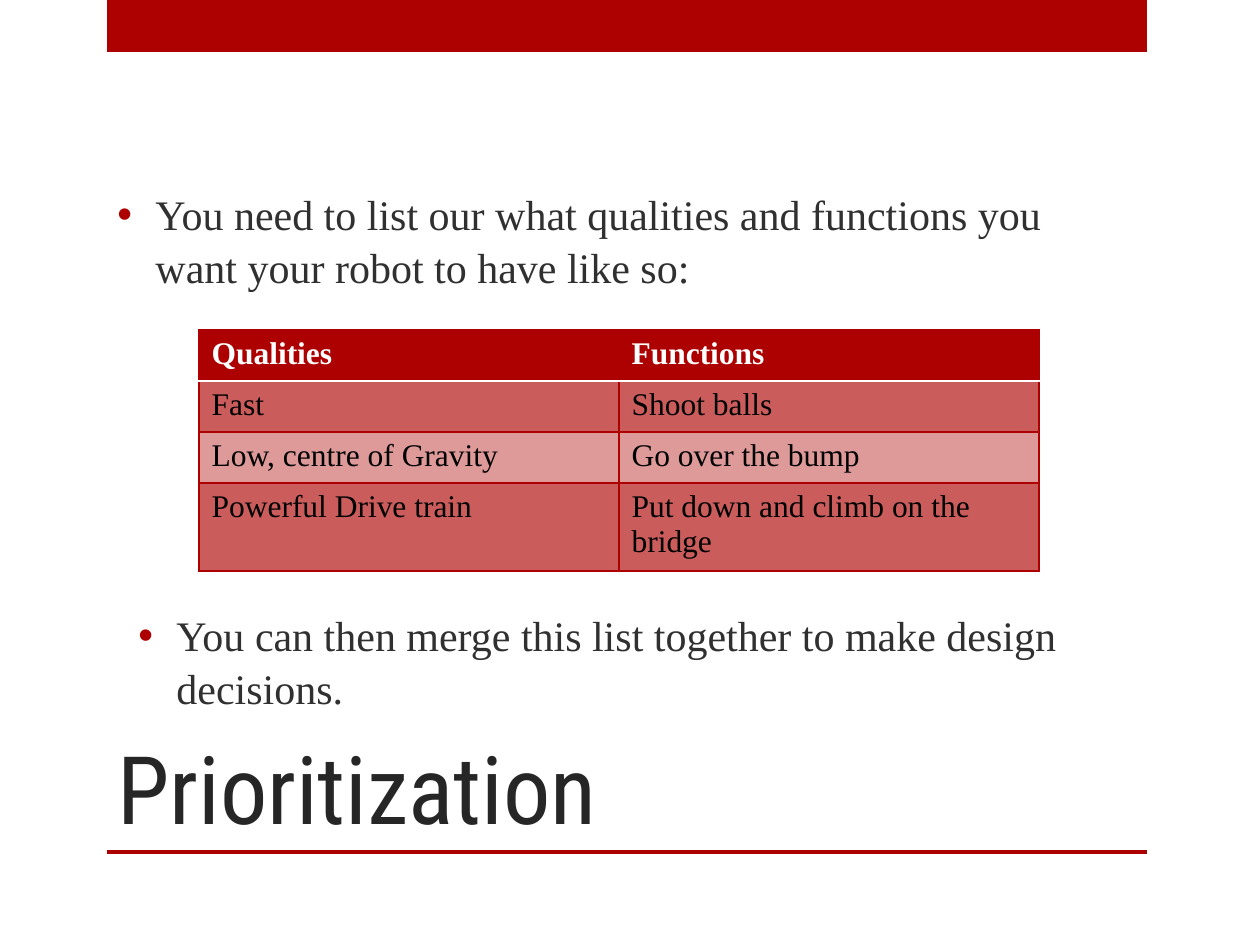
import dataclasses
import typing

import lxml.etree
import pptx
import pptx.dml.color
import pptx.enum.shapes
import pptx.enum.text
import pptx.oxml.ns
import pptx.util

EMU_PER_PIXEL = 914400 / 126


@dataclasses.dataclass(frozen=True)
class Theme:
    red: str = "AD0101"
    dark_band: str = "CA5C5C"
    light_band: str = "DE9999"
    white: str = "FFFFFF"
    black: str = "000000"
    title_color: str = "262626"
    body_color: str = "303030"
    title_font: str = "Roboto Condensed"
    body_font: str = "Times New Roman"
    title_size: int = 54
    body_size: int = 24
    table_size: int = 18
    border_width: float = 1.25
    header_rule_width: float = 1.75


class Box(typing.NamedTuple):
    left: int
    top: int
    width: int
    height: int


@dataclasses.dataclass(frozen=True)
class TextBlock:
    box: Box
    text: str
    font: str
    size: int
    color: str
    anchor: pptx.enum.text.MSO_ANCHOR
    bullet: bool = False


THEME = Theme()
MIDDLE = pptx.enum.text.MSO_ANCHOR.MIDDLE
BOTTOM = pptx.enum.text.MSO_ANCHOR.BOTTOM

BARS = [Box(107, 0, 1040, 52), Box(107, 850, 1040, 4)]
TEXT_BLOCKS = [
    TextBlock(Box(105, 630, 935, 220), "Prioritization",
              THEME.title_font, THEME.title_size, THEME.title_color, BOTTOM),
    TextBlock(Box(105, 97, 1040, 284),
              "You need to list our what qualities and functions you want your robot to have like so:",
              THEME.body_font, THEME.body_size, THEME.body_color, MIDDLE, True),
    TextBlock(Box(126, 518, 1040, 284),
              "You can then merge this list together to make design decisions.",
              THEME.body_font, THEME.body_size, THEME.body_color, MIDDLE, True),
]
TABLE_BOX = Box(199, 330, 840, 236)
ROW_HEIGHTS = [51, 51, 51, 83]
TABLE_ROWS = [
    ("Qualities", "Functions"),
    ("Fast", "Shoot balls"),
    ("Low, centre of Gravity", "Go over the bump"),
    ("Powerful Drive train", "Put down and climb on the bridge"),
]


def pixels(value: float) -> int:
    return round(value * EMU_PER_PIXEL)


def place(box: Box) -> list[int]:
    return [pixels(value) for value in box]


def rgb(color: str) -> pptx.dml.color.RGBColor:
    return pptx.dml.color.RGBColor.from_string(color)


def apply_format(target: typing.Any, values: dict[str, typing.Any]) -> None:
    for name, value in values.items():
        setattr(target, name, value)


def add_child(parent: typing.Any, tag: str, **attributes: str) -> typing.Any:
    return lxml.etree.SubElement(parent, pptx.oxml.ns.qn(tag), attributes)


def write_text(paragraph: typing.Any, text: str, font: str, size: int,
               color: str, bold: bool = False) -> None:
    run = paragraph.add_run()
    run.text = text
    apply_format(run.font, {"name": font, "size": pptx.util.Pt(size), "bold": bold})
    run.font.color.rgb = rgb(color)


def add_bullet(paragraph: typing.Any) -> None:
    apply_format(paragraph, {"space_before": pptx.util.Pt(4.8), "line_spacing": 1.05})
    properties = paragraph._p.get_or_add_pPr()
    properties.set("marL", str(pixels(38)))
    properties.set("indent", str(pixels(-38)))
    bullet_color = add_child(properties, "a:buClr")
    add_child(bullet_color, "a:srgbClr", val=THEME.red)
    add_child(properties, "a:buFont", typeface="Arial")
    add_child(properties, "a:buChar", char="•")


def add_bar(slide: typing.Any, box: Box) -> None:
    shape = slide.shapes.add_shape(pptx.enum.shapes.MSO_SHAPE.RECTANGLE, *place(box))
    shape.shadow.inherit = False
    shape.fill.solid()
    shape.fill.fore_color.rgb = rgb(THEME.red)
    shape.line.fill.background()


def add_text(slide: typing.Any, block: TextBlock) -> None:
    shape = slide.shapes.add_textbox(*place(block.box))
    apply_format(shape.text_frame, {"word_wrap": True, "vertical_anchor": block.anchor})
    paragraph = shape.text_frame.paragraphs[0]
    if block.bullet:
        add_bullet(paragraph)
    write_text(paragraph, block.text, block.font, block.size, block.color)


def add_border(cell: typing.Any, side: str, color: str, width: float) -> None:
    properties = cell._tc.get_or_add_tcPr()
    line = add_child(properties, f"a:ln{side}", w=str(int(pptx.util.Pt(width))))
    add_child(add_child(line, "a:solidFill"), "a:srgbClr", val=color)


def format_cell(cell: typing.Any, text: str, row: int) -> None:
    header = row == 0
    for side in "LRTB":
        if (row, side) in ((0, "B"), (1, "T")):
            add_border(cell, side, THEME.white, THEME.header_rule_width)
        else:
            add_border(cell, side, THEME.red, THEME.border_width)
    fill = THEME.red if header else THEME.dark_band if row % 2 else THEME.light_band
    cell.fill.solid()
    cell.fill.fore_color.rgb = rgb(fill)
    write_text(cell.text_frame.paragraphs[0], text, THEME.body_font, THEME.table_size,
               THEME.white if header else THEME.black, header)


def add_priorities_table(slide: typing.Any) -> None:
    columns = len(TABLE_ROWS[0])
    table = slide.shapes.add_table(len(TABLE_ROWS), columns, *place(TABLE_BOX)).table
    table.horz_banding = False
    for column in table.columns:
        column.width = pixels(TABLE_BOX.width / columns)
    for row, texts in enumerate(TABLE_ROWS):
        table.rows[row].height = pixels(ROW_HEIGHTS[row])
        for column, text in enumerate(texts):
            format_cell(table.cell(row, column), text, row)


def build() -> None:
    presentation = pptx.Presentation()
    apply_format(presentation, {"slide_width": pixels(1260), "slide_height": pixels(945)})
    slide = presentation.slides.add_slide(presentation.slide_layouts[6])
    for bar in BARS:
        add_bar(slide, bar)
    title, introduction, conclusion = TEXT_BLOCKS
    add_text(slide, title)
    add_text(slide, introduction)
    add_priorities_table(slide)
    add_text(slide, conclusion)
    presentation.save("out.pptx")


build()
